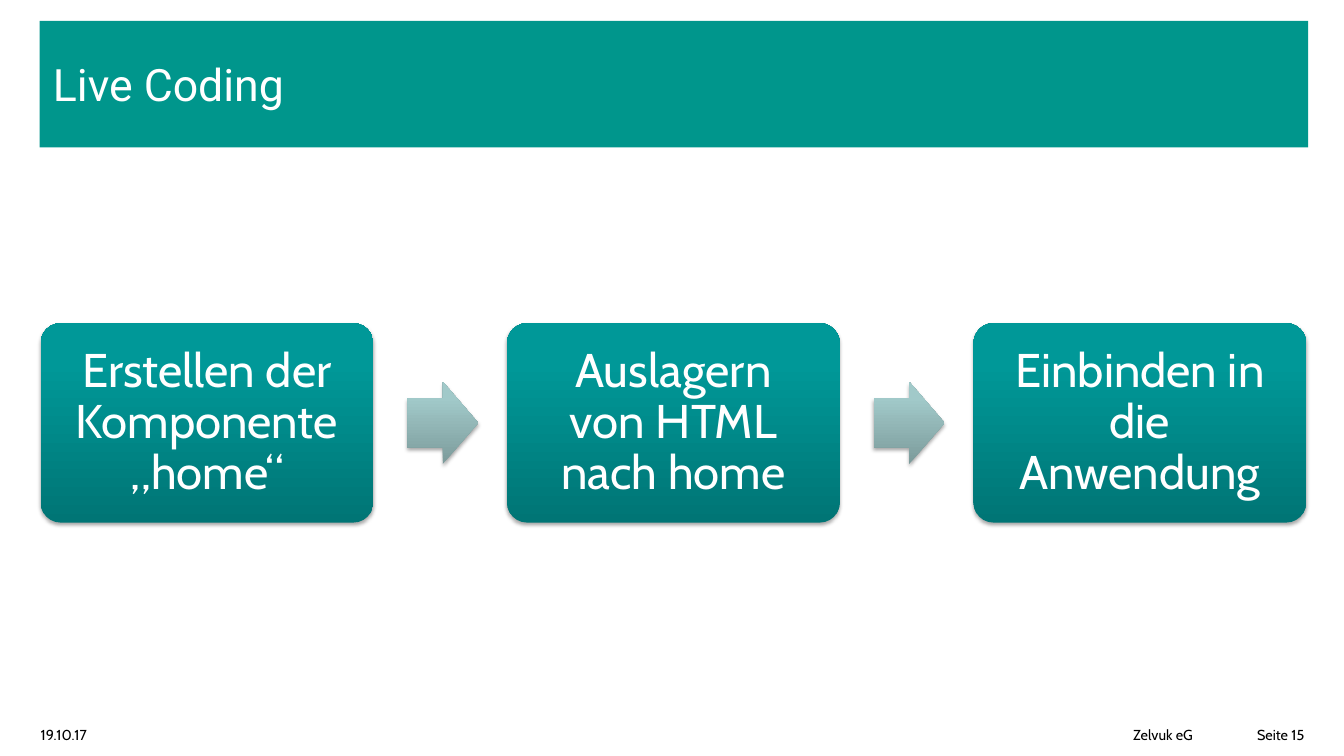
from pptx import Presentation
from pptx.dml.color import RGBColor
from pptx.enum.shapes import MSO_SHAPE
from pptx.enum.text import MSO_ANCHOR, PP_ALIGN
from pptx.oxml import parse_xml
from pptx.oxml.ns import nsdecls
from pptx.util import Inches, Pt

COLORS = {
    "banner": "00968C",
    "light": "FFFFFF",
    "dark": "000000",
}
STEP_GRADIENT = {0: "007575", 80: "009898", 100: "009999"}
ARROW_GRADIENT = {0: "7C9B9B", 80: "A1C9C9", 100: "A1CACA"}
STEPS = [
    "Erstellen der Komponente „home“",
    "Auslagern von HTML nach home",
    "Einbinden in die Anwendung",
]


def write(shape, text, size, font, color, insets, align=PP_ALIGN.LEFT, spacing=None):
    frame = shape.text_frame
    frame.word_wrap = True
    frame.vertical_anchor = MSO_ANCHOR.MIDDLE
    (frame.margin_left, frame.margin_top,
     frame.margin_right, frame.margin_bottom) = map(Inches, insets)
    paragraph = frame.paragraphs[0]
    paragraph.text = text
    paragraph.alignment = align
    paragraph.line_spacing = spacing
    paragraph.font.size = Pt(size)
    paragraph.font.name = font
    paragraph.font.color.rgb = RGBColor.from_string(COLORS[color])


def add_raised_shape(slide, kind, box, adjustments, gradient):
    shape = slide.shapes.add_shape(kind, *map(Inches, box))
    for index, value in enumerate(adjustments):
        shape.adjustments[index] = value
    shape.line.fill.background()
    shape.shadow.inherit = False
    properties = shape._element.spPr
    stops = "".join(
        f'<a:gs pos="{position * 1000}"><a:srgbClr val="{color}"/></a:gs>'
        for position, color in gradient.items()
    )
    properties.insert(2, parse_xml(
        f'<a:gradFill {nsdecls("a")} rotWithShape="1"><a:gsLst>{stops}</a:gsLst>'
        '<a:lin ang="16200000" scaled="0"/></a:gradFill>'
    ))
    properties[-1].append(parse_xml(
        f'<a:outerShdw {nsdecls("a")} blurRad="{Pt(3.1)}" dist="{Pt(1.8)}" '
        f'dir="5400000" rotWithShape="0"><a:srgbClr val="{COLORS["dark"]}">'
        '<a:alpha val="35000"/></a:srgbClr></a:outerShdw>'
    ))
    return shape


def add_banner(slide, box):
    banner = slide.shapes.add_shape(MSO_SHAPE.RECTANGLE, *map(Inches, box))
    banner.fill.solid()
    banner.fill.fore_color.rgb = RGBColor.from_string(COLORS["banner"])
    banner.line.fill.background()
    banner.shadow.inherit = False
    write(banner, "Live Coding", 34, "Roboto", "light",
          (0.14, 0.05, 0.14, 0.05), spacing=Pt(40))


def add_process(slide, box):
    left, top, width, height = box
    step_width = 3.52
    arrow_width, arrow_height, arrow_offset = 0.75, 0.87, 0.36
    pitch = (width - step_width) / (len(STEPS) - 1)
    for index, label in enumerate(STEPS):
        step_left = left + index * pitch
        step = add_raised_shape(
            slide, MSO_SHAPE.ROUNDED_RECTANGLE,
            (step_left, top, step_width, height), (0.1,), STEP_GRADIENT)
        write(step, label, 36, "Cabin", "light", (0.21,) * 4, PP_ALIGN.CENTER, 0.9)
        if index < len(STEPS) - 1:
            add_raised_shape(
                slide, MSO_SHAPE.RIGHT_ARROW,
                (step_left + step_width + arrow_offset,
                 top + (height - arrow_height) / 2, arrow_width, arrow_height),
                (0.6, 0.5), ARROW_GRADIENT)


def add_footer(slide, box):
    left, top, width, height = box
    entries = [
        ("19.10.17", 0, 1.38, 0.43, 0.1),
        ("Zelvuk eG", width - 2.31, 1.1, 0.08, 0.1),
        ("Seite 15", width - 1.2, 1.2, 0.28, 0.12),
    ]
    for text, offset, entry_width, inset_left, inset_right in entries:
        entry = slide.shapes.add_textbox(
            *map(Inches, (left + offset, top, entry_width, height)))
        write(entry, text, 11, "Cabin", "dark", (inset_left, 0.08, inset_right, 0.05))


def main():
    presentation = Presentation()
    presentation.slide_width = Inches(14.22)
    presentation.slide_height = Inches(8)
    slide = presentation.slides.add_slide(presentation.slide_layouts[6])
    add_banner(slide, (0.42, 0.22, 13.42, 1.34))
    add_process(slide, (0.43, 3.42, 13.39, 2.11))
    add_footer(slide, (0, 7.52, 14.22, 0.47))
    presentation.save("out.pptx")


if __name__ == "__main__":
    main()
